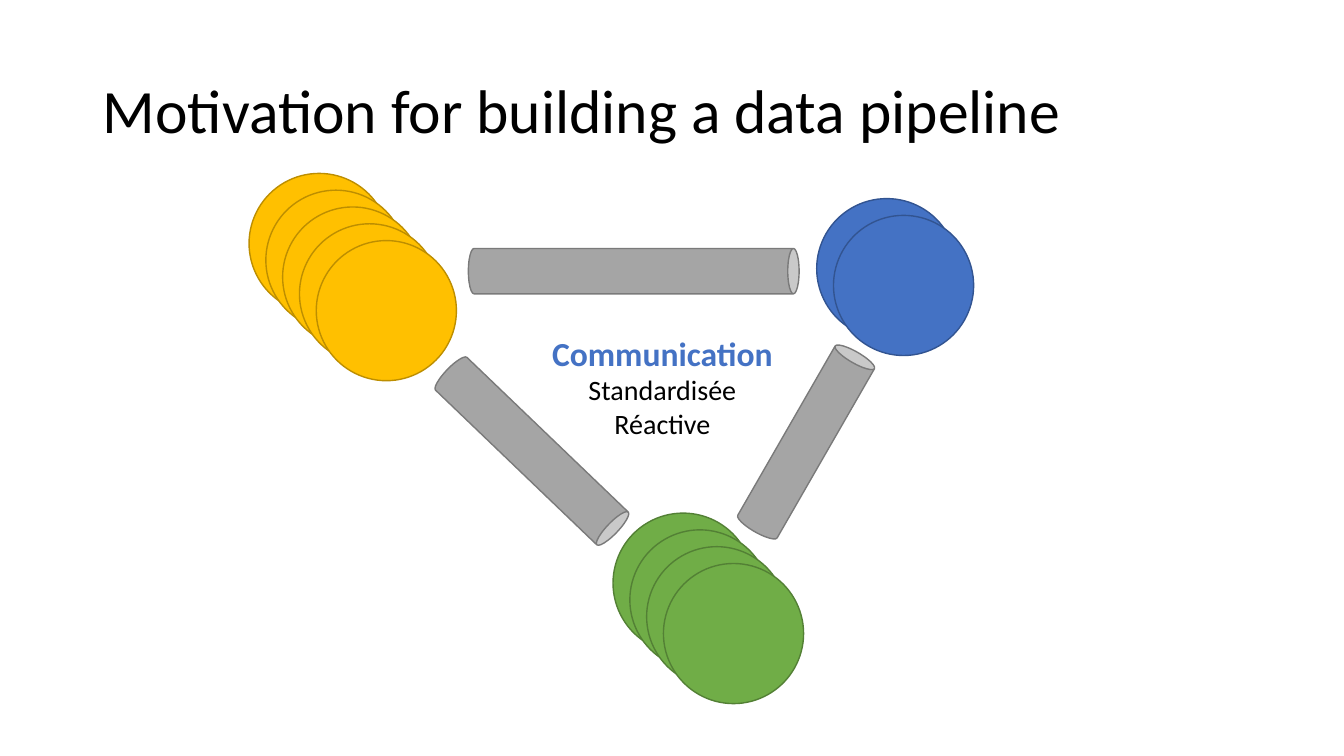
from pptx import Presentation
from pptx.dml.color import RGBColor
from pptx.enum.shapes import MSO_SHAPE
from pptx.enum.text import MSO_ANCHOR, MSO_AUTO_SIZE, PP_ALIGN
from pptx.util import Inches, Pt

OVAL = MSO_SHAPE.OVAL
CAN = MSO_SHAPE.CAN
MIDDLE = MSO_ANCHOR.MIDDLE
GROW = MSO_AUTO_SIZE.SHAPE_TO_FIT_TEXT
NO_FIT = MSO_AUTO_SIZE.NONE
LEFT = PP_ALIGN.LEFT
CENTER = PP_ALIGN.CENTER

BLACK = RGBColor(0x00, 0x00, 0x00)
GOLD = RGBColor(0xFF, 0xC0, 0x00)
GOLD_EDGE = RGBColor(0xBD, 0x8E, 0x00)
BLUE = RGBColor(0x44, 0x72, 0xC4)
BLUE_EDGE = RGBColor(0x32, 0x54, 0x91)
GREEN = RGBColor(0x70, 0xAD, 0x47)
GREEN_EDGE = RGBColor(0x53, 0x80, 0x35)
GRAY = RGBColor(0xA5, 0xA5, 0xA5)
GRAY_EDGE = RGBColor(0x7A, 0x7A, 0x7A)

FONT = "Calibri"
DISC = 1.39
STEP = 1 / 6
PIPE = 0.45

deck = Presentation()
deck.slide_width = Inches(13.33)
deck.slide_height = Inches(7.5)
slide = deck.slides.add_slide(deck.slide_layouts[5])


def add_part(kind, left, top, width, height, fill, edge):
    part = slide.shapes.add_shape(
        kind, Inches(left), Inches(top), Inches(width), Inches(height))
    part.shadow.inherit = False
    part.fill.solid()
    part.fill.fore_color.rgb = fill
    part.line.color.rgb = edge
    part.line.width = Pt(1)
    return part


def add_text(para, text, size, color, bold, align):
    para.alignment = align
    run = para.add_run()
    run.text = text
    run.font.name = FONT
    run.font.size = Pt(size)
    run.font.bold = bold
    run.font.color.rgb = color


title = slide.shapes.title
title.left, title.top = Inches(0.92), Inches(0.4)
title.width, title.height = Inches(11.5), Inches(1.45)
frame = title.text_frame
frame.auto_size = NO_FIT
frame.word_wrap = True
frame.vertical_anchor = MIDDLE
head = frame.paragraphs[0]
head.line_spacing = 0.9
add_text(head, "Motivation for building a data pipeline", 44, BLACK, False, LEFT)

stacks = [
    (2.47, 1.72, 5, GOLD, GOLD_EDGE),
    (8.1, 1.97, 2, BLUE, BLUE_EDGE),
    (6.08, 5.09, 4, GREEN, GREEN_EDGE),
]
for left, top, count, fill, edge in stacks:
    for i in range(count):
        add_part(OVAL, left + i * STEP, top + i * STEP, DISC, DISC, fill, edge)

pipes = [
    (6.06, 1.05, 3.28, 90),
    (5.05, 3.31, 2.33, 133.8),
    (7.77, 3.36, 2.05, 29.9),
]
for left, top, length, angle in pipes:
    pipe = add_part(CAN, left, top, PIPE, length, GRAY, GRAY_EDGE)
    pipe.rotation = angle

label = slide.shapes.add_textbox(
    Inches(5.37), Inches(3.25), Inches(2.4), Inches(1.18))
frame = label.text_frame
frame.word_wrap = True
frame.auto_size = GROW
lines = [
    ("Communication", 24, BLUE, True),
    ("Standardisée", 20, BLACK, False),
    ("Réactive", 20, BLACK, False),
]
for i, (text, size, color, bold) in enumerate(lines):
    para = frame.add_paragraph() if i else frame.paragraphs[0]
    add_text(para, text, size, color, bold, CENTER)

deck.save("out.pptx")
